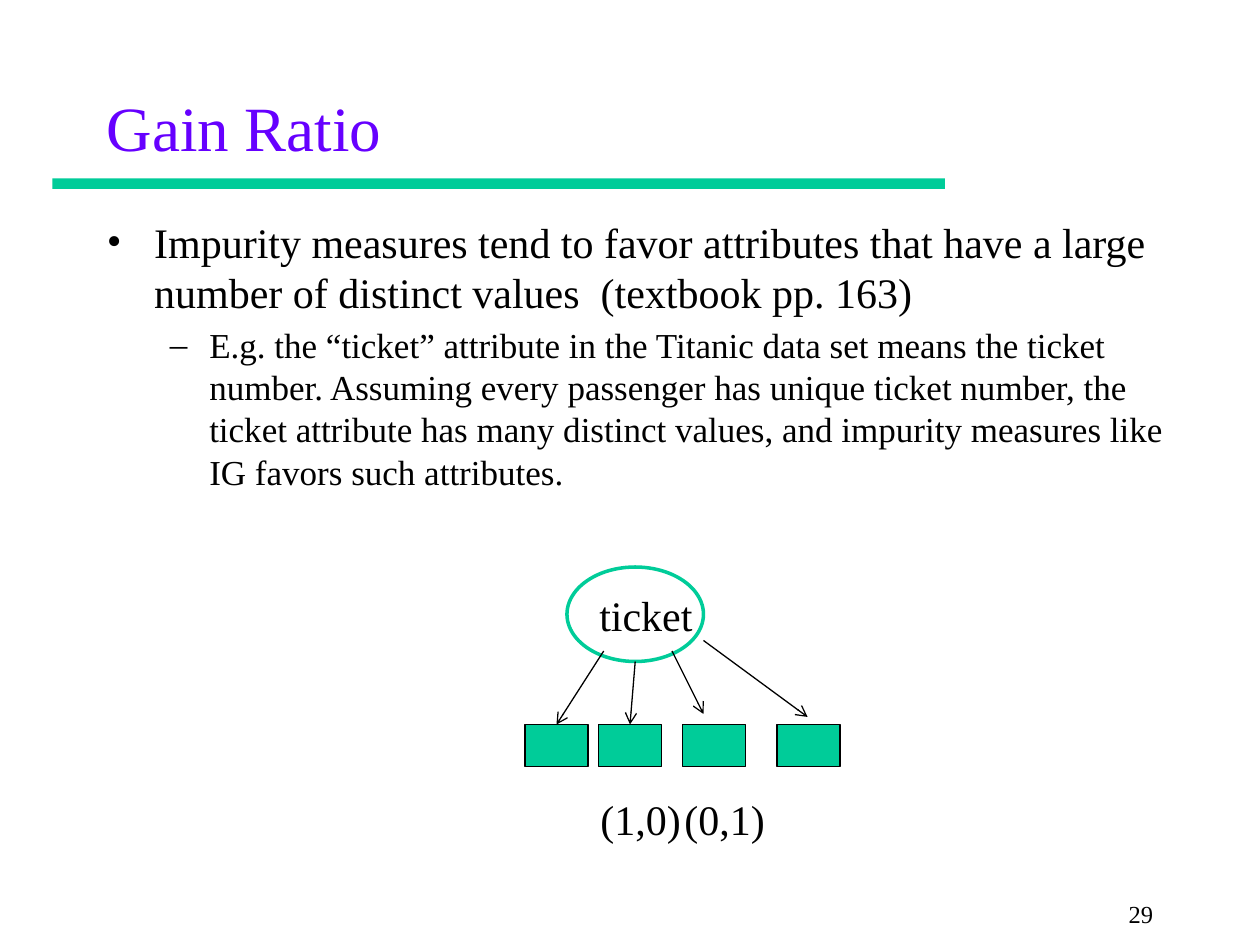
from lxml import etree
from pptx import Presentation
from pptx.dml.color import RGBColor
from pptx.enum import shapes as es, text as et
from pptx.oxml import ns
from pptx.util import Pt

GREEN = RGBColor(0x00, 0xCC, 0x99)
VIOLET = RGBColor(0x66, 0x00, 0xFF)
BLACK = RGBColor(0, 0, 0)
WHITE = RGBColor(0xFF, 0xFF, 0xFF)
FONT = "Times New Roman"


def sub(parent, tag, **attrs):
    """Append a drawing element to a parent."""
    return etree.SubElement(parent, ns.qn(tag), attrs)


def add_run(para, words, size, color=BLACK):
    """Add one styled run to a paragraph."""
    run = para.add_run()
    run.text = words
    run.font.name = FONT
    run.font.size = Pt(size)
    run.font.color.rgb = color


def add_text(slide, box, words="", size=24, color=BLACK, wrap=True,
             align=et.PP_ALIGN.LEFT, anchor=et.MSO_ANCHOR.TOP):
    """Add a text box and return its frame."""
    frame = slide.shapes.add_textbox(*map(Pt, box)).text_frame
    frame.word_wrap = wrap
    frame.vertical_anchor = anchor
    if words:
        para = frame.paragraphs[0]
        para.alignment = align
        add_run(para, words, size, color)
    return frame


def add_bullet(para, mark, words, size, left, hang, level=0):
    """Fill a paragraph as a bullet with a hanging indent."""
    para.level = level
    props = para._p.get_or_add_pPr()
    props.set("marL", str(Pt(left)))
    props.set("indent", str(Pt(-hang)))
    sub(props, "a:buFont", typeface=FONT)
    sub(props, "a:buChar", char=mark)
    add_run(para, words, size)


def add_shape(slide, kind, box, fill, line=None, width=0.75):
    """Add a flat preset shape."""
    shape = slide.shapes.add_shape(kind, *map(Pt, box))
    shape.shadow.inherit = False
    shape.fill.solid()
    shape.fill.fore_color.rgb = fill
    if line is None:
        shape.line.fill.background()
    else:
        shape.line.color.rgb = line
        shape.line.width = Pt(width)
    return shape


def add_arrow(slide, start, end, leaf=None):
    """Add an arrow, joined to the top of a leaf if given."""
    arrow = slide.shapes.add_connector(
        es.MSO_CONNECTOR.STRAIGHT, *map(Pt, start + end))
    arrow.line.color.rgb = BLACK
    arrow.line.width = Pt(0.75)
    sub(arrow.line._get_or_add_ln(), "a:tailEnd", type="arrow")
    sub(arrow._element.spPr, "a:effectLst")
    if leaf is not None:
        arrow.end_connect(leaf, 0)


def add_tree(slide):
    """Draw the ticket node with its leaves and counts."""
    node = add_shape(slide, es.MSO_SHAPE.OVAL, (324, 324, 78, 54),
                     WHITE, GREEN, 2)
    frame = node.text_frame
    frame.word_wrap = False
    frame.vertical_anchor = et.MSO_ANCHOR.MIDDLE
    frame.paragraphs[0].alignment = et.PP_ALIGN.LEFT
    add_run(frame.paragraphs[0], "ticket", 24)

    leaves = [add_shape(slide, es.MSO_SHAPE.RECTANGLE, (left, 414, 36, 24),
                        GREEN, BLACK) for left in (300, 342, 390, 444)]
    add_arrow(slide, (345, 372), (318, 414), leaves[0])
    add_arrow(slide, (363, 378), (360, 414), leaves[1])
    add_arrow(slide, (384, 372), (402, 408))
    add_arrow(slide, (402, 366), (461.5, 409.7))

    for left, words in ((336, "(1,0)"), (384, "(0,1)")):
        add_text(slide, (left, 450, 61, 36), words, wrap=False)


def main():
    """Build and save the slide."""
    deck = Presentation()
    deck.slide_width, deck.slide_height = Pt(720), Pt(540)
    slide = deck.slides.add_slide(deck.slide_layouts[6])

    add_shape(slide, es.MSO_SHAPE.RECTANGLE, (30, 102, 510, 6), GREEN)
    add_text(slide, (54, 48, 606, 48), "Gain Ratio", 36, VIOLET,
             anchor=et.MSO_ANCHOR.MIDDLE)

    body = add_text(slide, (54, 120, 624, 186))
    add_bullet(body.paragraphs[0], "•",
               "Impurity measures tend to favor attributes that have a large "
               "number of distinct values  (textbook pp. 163)", 24, 27, 27)
    para = body.add_paragraph()
    para.space_before = Pt(4)
    add_bullet(para, "–",
               "E.g. the “ticket” attribute in the Titanic data set means the "
               "ticket number. Assuming every passenger has unique ticket "
               "number, the ticket attribute has many distinct values, and "
               "impurity measures like IG favors such attributes.",
               20, 58.5, 22.5, 1)

    add_text(slide, (522, 510, 144, 18), "29", 14, align=et.PP_ALIGN.RIGHT)
    add_tree(slide)
    deck.save("out.pptx")


if __name__ == "__main__":
    main()
